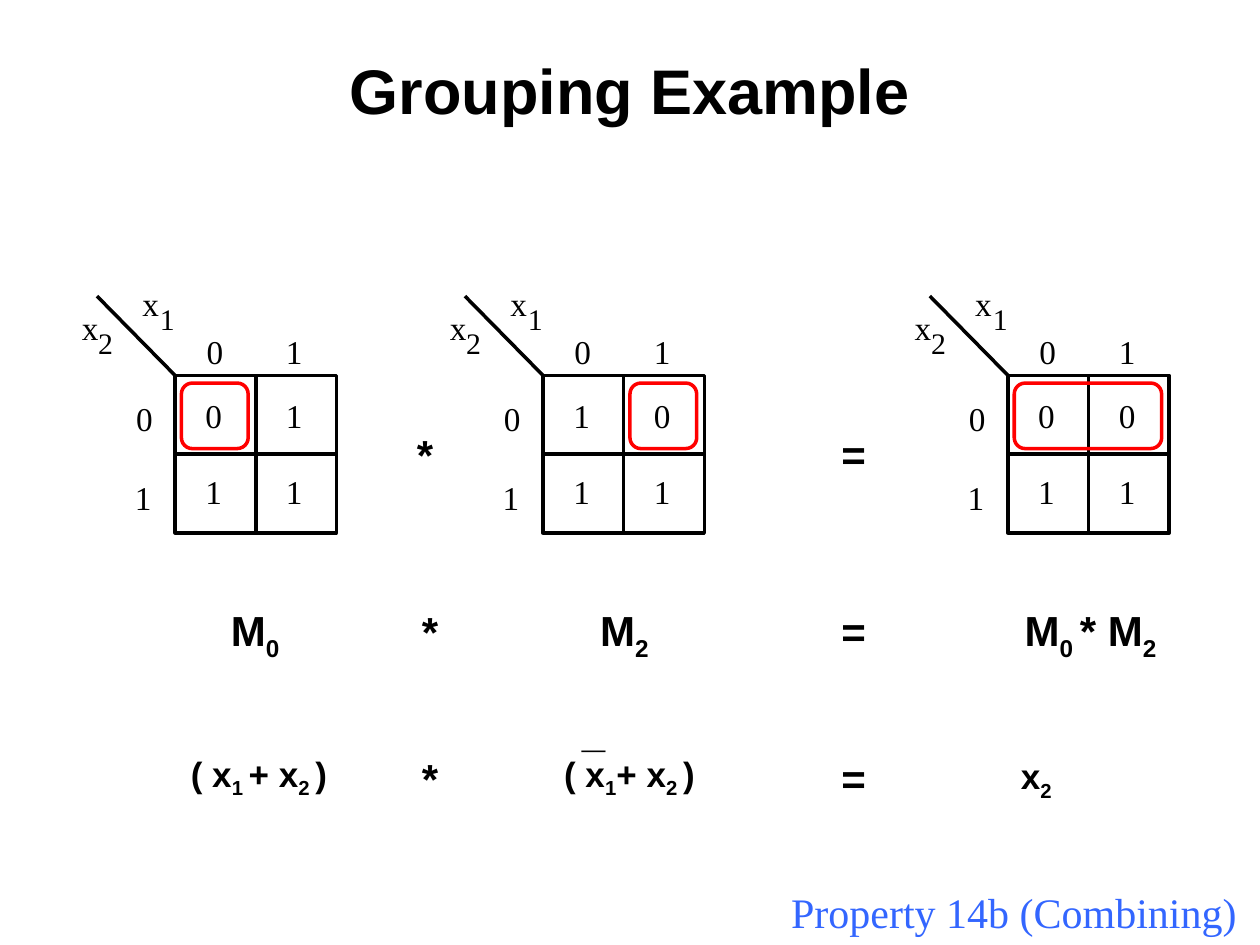
from lxml import etree
from pptx import Presentation
from pptx.dml.color import RGBColor
from pptx.enum.shapes import MSO_CONNECTOR, MSO_SHAPE
from pptx.enum.text import MSO_ANCHOR, MSO_AUTO_SIZE, PP_ALIGN
from pptx.oxml.ns import qn
from pptx.util import Inches, Pt

BLACK = RGBColor(0x00, 0x00, 0x00)
WHITE = RGBColor(0xFF, 0xFF, 0xFF)
RED = RGBColor(0xFF, 0x00, 0x00)
BLUE = RGBColor(0x33, 0x66, 0xFF)
SANS = "Arial"
SERIF = "Times New Roman"
STRAIGHT = MSO_CONNECTOR.STRAIGHT
RECTANGLE = MSO_SHAPE.RECTANGLE
ROUNDED = MSO_SHAPE.ROUNDED_RECTANGLE
CENTER, LEFT = PP_ALIGN.CENTER, PP_ALIGN.LEFT
MIDDLE, TOP = MSO_ANCHOR.MIDDLE, MSO_ANCHOR.TOP
GROW = MSO_AUTO_SIZE.SHAPE_TO_FIT_TEXT

MAP_WIDTH, MAP_HEIGHT = 1.28, 1.25
COLUMN_STEP = 0.64


def add_text(page, box, pieces, size, font=SANS, color=BLACK, align=LEFT,
             anchor=TOP, inset=(0.1, 0.05), wrap=True):
    """Add one line of text in which every second piece is a subscript."""
    left, top, width, height = box
    label = page.shapes.add_textbox(Inches(left), Inches(top), Inches(width), Inches(height))
    frame = label.text_frame
    frame.word_wrap = wrap
    frame.auto_size = GROW
    frame.vertical_anchor = anchor
    frame.margin_left = frame.margin_right = Inches(inset[0])
    frame.margin_top = frame.margin_bottom = Inches(inset[1])
    para = frame.paragraphs[0]
    para.alignment = align
    para.font.name = font
    para.font.size = Pt(size)
    para.font.bold = font == SANS
    para.font.color.rgb = color
    for index, piece in enumerate(pieces):
        span = para.add_run()
        span.text = piece
        if index % 2:
            span._r.get_or_add_rPr().set("baseline", "-25000")


def add_outline(page, kind, box, color):
    """Add an unfilled shape with a two-point outline."""
    shape = page.shapes.add_shape(kind, *(Inches(length) for length in box))
    shape.shadow.inherit = False
    shape.fill.background()
    shape.line.color.rgb = color
    shape.line.width = Pt(2)
    return shape


def add_line(page, start, end):
    """Add a plain black line between two points."""
    line = page.shapes.add_connector(STRAIGHT, *(Inches(length) for length in start + end))
    line.line.color.rgb = BLACK
    line.line.width = Pt(2)
    etree.SubElement(line._element.spPr, qn("a:effectLst"))
    return line


def add_map(page, left, top, cells, loop_column, loop_span):
    """Add a two-variable Karnaugh map with a red loop in its first row."""
    frame = add_outline(page, RECTANGLE, (left, top, MAP_WIDTH, MAP_HEIGHT), BLACK)
    frame.fill.solid()
    frame.fill.fore_color.rgb = WHITE
    center, middle = left + MAP_WIDTH / 2, top + MAP_HEIGHT / 2
    row_divider = add_line(page, (left + MAP_WIDTH, middle), (left, middle))
    row_divider.begin_connect(frame, 3)
    row_divider.end_connect(frame, 1)
    column_divider = add_line(page, (center, top + MAP_HEIGHT), (center, top))
    column_divider.begin_connect(frame, 2)
    column_divider.end_connect(frame, 0)
    add_line(page, (left - 0.62, top - 0.63), (left, top))

    labels = [("x", -0.74, -0.54, 19), ("2", -0.61, -0.4, 17),
              ("x", -0.26, -0.73, 19), ("1", -0.12, -0.59, 17),
              ("0", -0.31, 0.18, 19), ("1", -0.32, 0.81, 19),
              ("0", 0.25, -0.35, 19), ("1", 0.88, -0.35, 19)]
    for row, values in enumerate(cells):
        for column, value in enumerate(values):
            labels.append((value, 0.24 + column * COLUMN_STEP, 0.16 + row * 0.6, 19))
    for text, across, down, size in labels:
        add_text(page, (left + across, top + down, 0.2, 0.32), [text], size,
                 SERIF, inset=(0, 0), wrap=False)

    loop_box = (left + 0.05 + loop_column * COLUMN_STEP, top + 0.06,
                0.53 + (loop_span - 1) * COLUMN_STEP, 0.52)
    add_outline(page, ROUNDED, loop_box, RED)


def add_equation(page, top, size, terms):
    """Add a row of centred terms, each given as a left edge and its pieces."""
    for left, pieces in terms:
        add_text(page, (left, top, 1.69, 0.5), pieces, size, align=CENTER)


def add_operators(page, top, times_left):
    """Add the product and equals signs of one row."""
    for left, sign in ((times_left, "*"), (6.58, "=")):
        add_text(page, (left, top, 0.29, 0.5), [sign], 24)


def build_slide(page):
    """Place the title, maps, equations and closing note."""
    add_text(page, (0, 0.33, 10, 0.75), ["Grouping Example"], 36,
             align=CENTER, anchor=MIDDLE)
    add_map(page, 1.39, 2.98, ("01", "11"), 0, 1)
    add_map(page, 4.31, 2.98, ("10", "11"), 1, 1)
    add_map(page, 8, 2.98, ("00", "11"), 0, 2)
    for top, times_left in ((3.35, 3.21), (4.76, 3.25), (5.92, 3.25)):
        add_operators(page, top, times_left)
    add_equation(page, 4.75, 24, [(1.18, ["M", "0"]), (4.11, ["M", "2"]),
                                  (7.81, ["M", "0 ", "* M", "2"])])
    add_equation(page, 5.92, 20, [(1.21, ["( x", "1 ", "+ x", "2 ", ")"]),
                                  (4.15, ["( x", "1", "+ x", "2 ", ")"])])
    add_equation(page, 5.94, 20, [(7.38, ["x", "2"])])
    add_text(page, (4.52, 5.55, 0.35, 0.5), ["_"], 24)
    add_text(page, (6.18, 6.99, 3.82, 0.5), ["Property 14b (Combining)"], 24,
             SERIF, BLUE)


def main():
    """Build and save the deck."""
    deck = Presentation()
    deck.slide_width, deck.slide_height = Inches(10), Inches(7.5)
    build_slide(deck.slides.add_slide(deck.slide_layouts[6]))
    deck.save("out.pptx")


if __name__ == "__main__":
    main()
